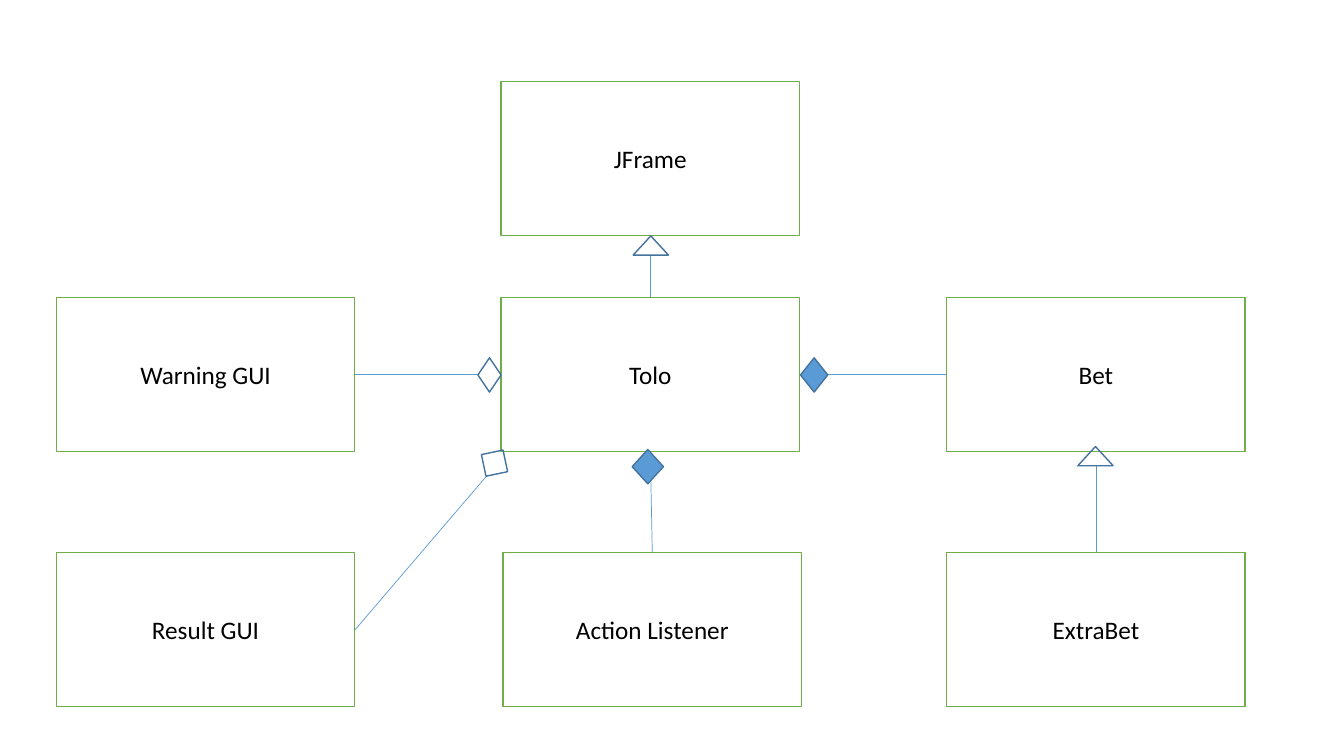
from pptx import Presentation
from pptx.dml.color import RGBColor
from pptx.enum.shapes import MSO_CONNECTOR, MSO_SHAPE as SHAPE
from pptx.enum.text import MSO_ANCHOR, PP_ALIGN
from pptx.oxml.ns import qn
from pptx.util import Inches, Pt
from lxml.etree import SubElement

WHITE = RGBColor(0xFF, 0xFF, 0xFF)
BLACK = RGBColor(0x00, 0x00, 0x00)
GREEN = RGBColor(0x70, 0xAD, 0x47)
BLUE = RGBColor(0x5B, 0x9B, 0xD5)
DARK_BLUE = RGBColor(0x43, 0x73, 0x9E)

BOX_W, BOX_H = 2.96, 1.53
LEFT, CENTER, RIGHT = 0.56, 4.97, 9.39
TOP, MIDDLE, BOTTOM = 0.81, 2.95, 5.48


class Diagram:
    font = "Calibri"
    size = Pt(18)

    def __init__(self, slide):
        self.s = slide

    def shape(self, kind, x, y, w, h, fill, line):
        sp = self.s.shapes.add_shape(kind, Inches(x), Inches(y), Inches(w), Inches(h))
        sp.shadow.inherit = False
        if fill is None:
            sp.fill.background()
        else:
            sp.fill.solid()
            sp.fill.fore_color.rgb = fill
        sp.line.color.rgb = line
        sp.line.width = Pt(1)
        return sp

    def class_box(self, name, x, y):
        sp = self.shape(SHAPE.RECTANGLE, x, y, BOX_W, BOX_H, WHITE, GREEN)
        tf = sp.text_frame
        tf.text = name
        tf.word_wrap = True
        tf.vertical_anchor = MSO_ANCHOR.MIDDLE
        p = tf.paragraphs[0]
        p.alignment = PP_ALIGN.CENTER
        font = p.runs[0].font
        font.name, font.size = self.font, self.size
        font.color.rgb = BLACK

    def link(self, x1, y1, x2, y2):
        ln = self.s.shapes.add_connector(
            MSO_CONNECTOR.STRAIGHT, Inches(x1), Inches(y1), Inches(x2), Inches(y2))
        ln.line.color.rgb = BLUE
        ln.line.width = Pt(0.5)
        SubElement(ln._element.spPr, qn("a:effectLst"))

    def inheritance(self, x, y):
        self.shape(SHAPE.ISOSCELES_TRIANGLE, x, y, 0.35, 0.19, None, DARK_BLUE)

    def diamond(self, x, y, w, h, fill=None, rotation=0):
        sp = self.shape(SHAPE.DIAMOND, x, y, w, h, fill, DARK_BLUE)
        sp.rotation = rotation


prs = Presentation()
prs.slide_width, prs.slide_height = Inches(13.33), Inches(7.5)
d = Diagram(prs.slides.add_slide(prs.slide_layouts[6]))

# Classes
for name, x, y in [
    ("JFrame", CENTER, TOP),
    ("Tolo", CENTER, MIDDLE),
    ("Action Listener", CENTER + 0.02, BOTTOM),
    ("Bet", RIGHT, MIDDLE),
    ("ExtraBet", RIGHT, BOTTOM),
    ("Warning GUI", LEFT, MIDDLE),
    ("Result GUI", LEFT, BOTTOM),
]:
    d.class_box(name, x, y)

# Links between classes
axis, mid_y = CENTER + BOX_W / 2, 3.71
bet_axis = RIGHT + BOX_W / 2
d.link(axis, 2.53, axis, MIDDLE)
d.link(axis, MIDDLE + BOX_H, axis + 0.02, BOTTOM)
d.link(CENTER + BOX_W, mid_y, RIGHT, mid_y)
d.link(4.74, mid_y, LEFT + BOX_W, mid_y)
d.link(4.82, 4.73, LEFT + BOX_W, 6.25)
d.link(bet_axis, 4.62, bet_axis, BOTTOM)

# Inheritance triangles
d.inheritance(6.28, TOP + BOX_H)
d.inheritance(10.69, 4.43)

# Composition diamonds
d.diamond(7.94, 3.55, 0.27, 0.34, BLUE)
d.diamond(6.27, 4.46, 0.31, 0.34, BLUE)

# Aggregation diamonds
d.diamond(4.74, 3.55, 0.23, 0.34)
d.diamond(4.75, 4.44, 0.31, 0.31, rotation=33)

prs.save("out.pptx")
